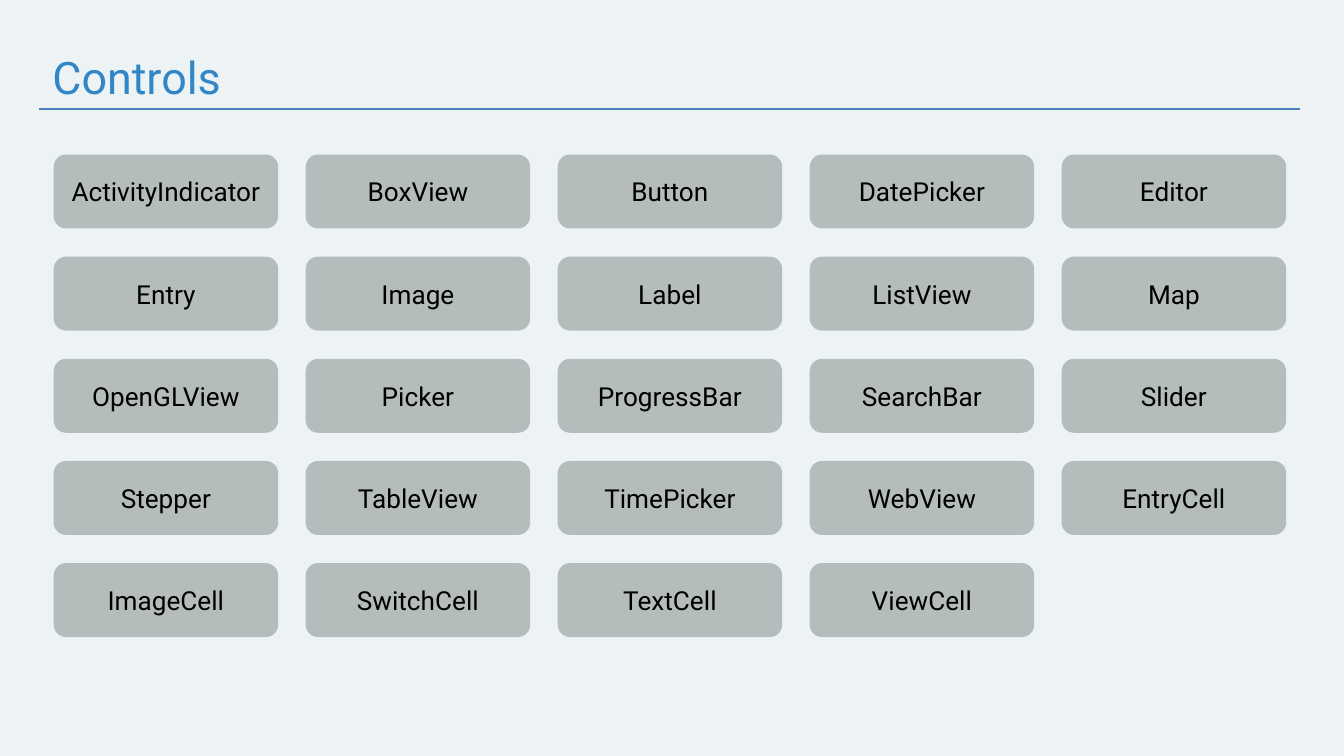
"""Build a slide that lists the user interface controls in a grid."""
from lxml.etree import SubElement
from pptx import Presentation
from pptx.dml.color import RGBColor
from pptx.enum.shapes import MSO_CONNECTOR, MSO_SHAPE
from pptx.enum.text import MSO_ANCHOR, MSO_AUTO_SIZE, PP_ALIGN
from pptx.oxml.ns import qn
from pptx.util import Inches, Pt

TITLE = "Controls"
CONTROLS = [
    "ActivityIndicator", "BoxView", "Button", "DatePicker", "Editor",
    "Entry", "Image", "Label", "ListView", "Map",
    "OpenGLView", "Picker", "ProgressBar", "SearchBar", "Slider",
    "Stepper", "TableView", "TimePicker", "WebView", "EntryCell",
    "ImageCell", "SwitchCell", "TextCell", "ViewCell",
]
COLORS = {"background": "EDF3F5", "title": "3186C7", "rule": "4B7EBC",
          "button": "B4BCBC", "label": "000000"}
FONT = "Roboto"
WIDTH = 10
HEIGHT = WIDTH * 9 / 16
COLUMNS = 5
GRID_LEFT, GRID_TOP = 0.4, 1.15
PITCH_X, PITCH_Y = WIDTH * 3 / 16, 0.76
BUTTON_SIZE = (1.67, 0.55)
TITLE_BOX = (0.29, 0.17, 7.71, 0.65)
RULE = (0.29, 0.81, 9.67, 0.81)


def color(name):
    return RGBColor.from_string(COLORS[name])


def inches(values):
    return [Inches(value) for value in values]


def write(box, text, size, color_name, align, anchor):
    frame = box.text_frame
    settings = {"word_wrap": True, "auto_size": MSO_AUTO_SIZE.NONE,
                "vertical_anchor": anchor}
    for name, value in settings.items():
        setattr(frame, name, value)
    para = frame.paragraphs[0]
    para.alignment = align
    span = para.add_run()
    span.text = text
    for name, value in {"name": FONT, "size": Pt(size), "bold": False}.items():
        setattr(span.font, name, value)
    span.font.color.rgb = color(color_name)


def add_rule(page):
    rule = page.shapes.add_connector(MSO_CONNECTOR.STRAIGHT, *inches(RULE))
    rule.line.color.rgb = color("rule")
    rule.line.width = Pt(0.75)
    SubElement(rule._element.spPr, qn("a:effectLst"))


def add_title(page):
    title = page.shapes.title
    for name, value in zip(("left", "top", "width", "height"), inches(TITLE_BOX)):
        setattr(title, name, value)
    write(title, TITLE, 24, "title", PP_ALIGN.LEFT, MSO_ANCHOR.BOTTOM)


def add_button(page, index, label):
    row, column = divmod(index, COLUMNS)
    corner = (GRID_LEFT + column * PITCH_X, GRID_TOP + row * PITCH_Y)
    button = page.shapes.add_shape(
        MSO_SHAPE.ROUNDED_RECTANGLE, *inches(corner + BUTTON_SIZE))
    button.shadow.inherit = False
    button.fill.solid()
    button.fill.fore_color.rgb = color("button")
    button.line.fill.background()
    write(button, label, 14, "label", PP_ALIGN.CENTER, MSO_ANCHOR.MIDDLE)


def main():
    deck = Presentation()
    deck.slide_width, deck.slide_height = inches((WIDTH, HEIGHT))
    page = deck.slides.add_slide(deck.slide_layouts[5])
    page.background.fill.solid()
    page.background.fill.fore_color.rgb = color("background")
    add_rule(page)
    for index, label in enumerate(CONTROLS):
        add_button(page, index, label)
    add_title(page)
    deck.save("out.pptx")


if __name__ == "__main__":
    main()
